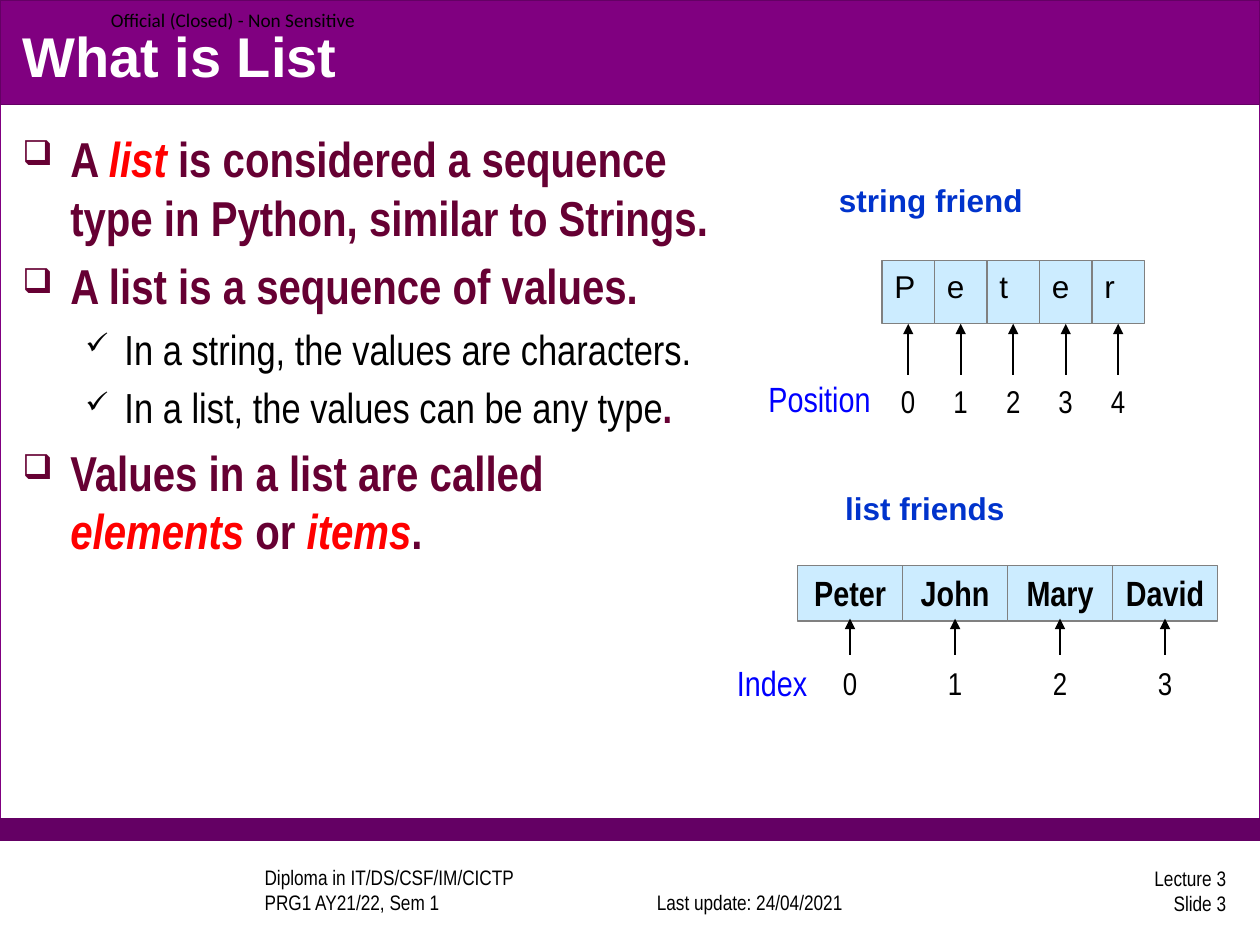
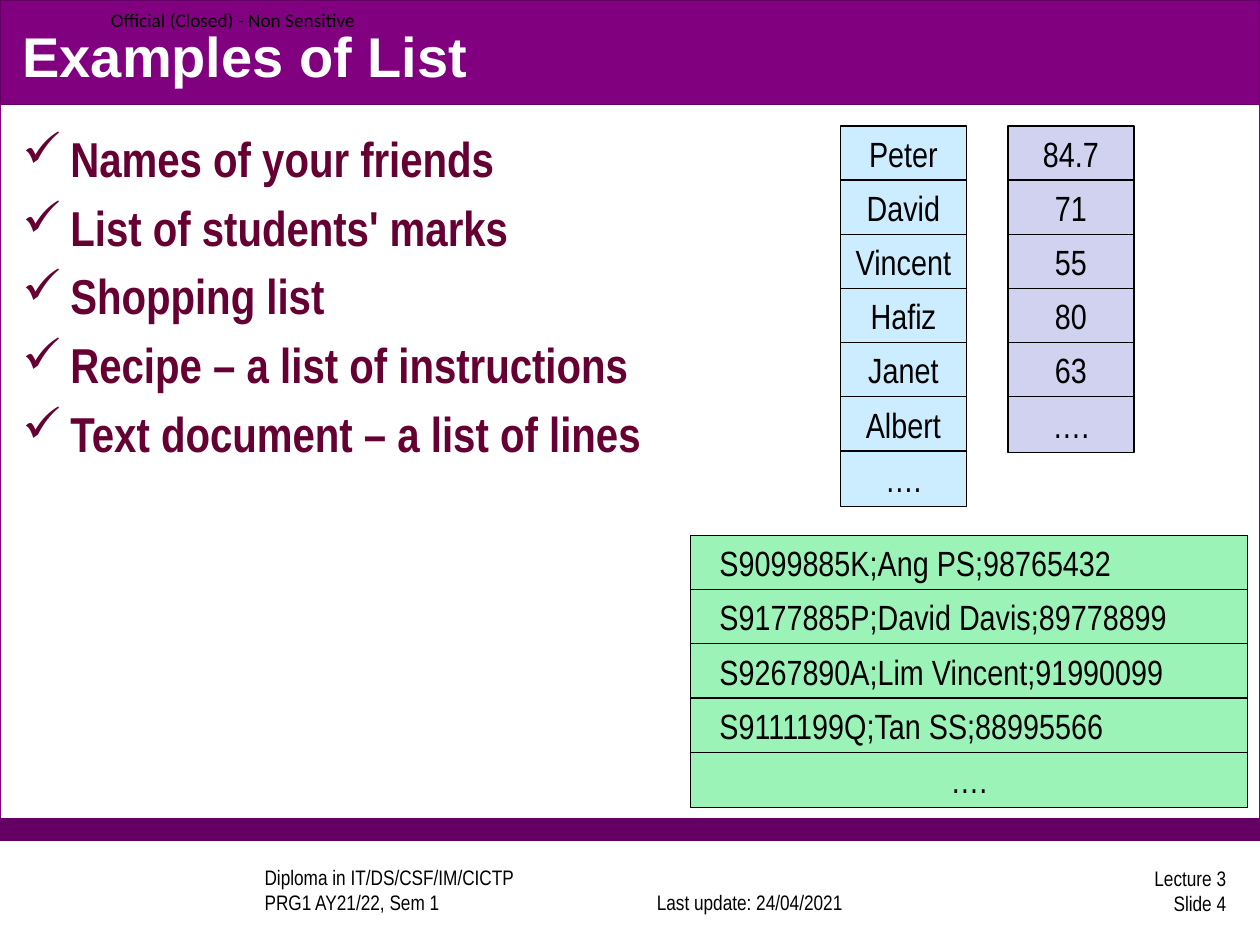
from dataclasses import dataclass

from pptx import Presentation
from pptx.dml.color import RGBColor
from pptx.enum.shapes import MSO_CONNECTOR as Link, MSO_SHAPE as Form
from pptx.enum.text import MSO_ANCHOR as Anchor, PP_ALIGN as Align
from pptx.oxml.ns import qn
from pptx.shapes.shapetree import GroupShapes
from pptx.slide import Slide
from pptx.text.text import TextFrame
from pptx.util import Inches, Pt
from lxml.etree import SubElement

BLACK = RGBColor(0, 0, 0)
WHITE = RGBColor(255, 255, 255)
PURPLE = RGBColor(0x80, 0, 0x80)
DARK = RGBColor(0x64, 0, 0x64)
WINE = RGBColor(0x66, 0, 0x33)
RED = RGBColor(0xFF, 0, 0)
BLUE = RGBColor(0, 0, 0xFF)
ROYAL = RGBColor(0, 0x33, 0xCC)
GRAY = RGBColor(0x80, 0x80, 0x80)
SKY = RGBColor(0xCC, 0xEC, 0xFF)
LILAC = RGBColor(0xD1, 0xD1, 0xF0)
MINT = RGBColor(0x9B, 0xF3, 0xB8)
SANS = "Arial"
SLIM = "Arial Narrow"
DOTS = "…."


@dataclass(frozen=True)
class Box:
    left: float
    top: float
    width: float
    height: float

    def emu(self) -> tuple[int, ...]:
        return tuple(Inches(n) for n in (self.left, self.top, self.width, self.height))


@dataclass(frozen=True)
class Style:
    size: int
    color: RGBColor = BLACK
    face: str = SLIM
    bold: bool = False
    slant: bool = False


@dataclass(frozen=True)
class Level:
    mark: str
    left: float
    hang: float
    space: float
    scale: int = 100


@dataclass(frozen=True)
class Item:
    level: Level
    spans: tuple[tuple[str, Style], ...]


@dataclass(frozen=True)
class Row:
    title: str
    spot: Box
    label: str
    tag: Box
    words: tuple[str, ...]
    first: Box
    style: Style
    align: Align
    tip: float
    reach: float
    digits: float


@dataclass(frozen=True)
class Stack:
    first: Box
    fill: RGBColor
    words: tuple[str, ...]
    align: Align = Align.CENTER
    inset: float = 0.1


TITLE = Style(32, WHITE, SANS, True)
FOOT = Style(12)
STRONG = Style(28, WINE, bold=True)
ACCENT = Style(28, RED, bold=True, slant=True)
PLAIN = Style(24)
STOP = Style(24, WINE, bold=True)
HEAD = Style(18, ROYAL, SANS, True)
LABEL = Style(20, BLUE)
DIGIT = Style(18)
CELL = Style(20)
SQUARE = Level("❑", 0.38, 0.38, 5.6, 70)
CHECK = Level("✓", 0.81, 0.31, 4.8, 70)
TICK = Level("✓", 0.38, 0.38, 5.6)
STEP = 0.43

BANDS = (
    (Box(0, 0, 10, 6.67), WHITE, PURPLE),
    (Box(0, 6.5, 10, 0.17), DARK, DARK),
    (Box(0, 0, 10, 0.83), PURPLE, DARK),
)

FACTS = (
    Item(SQUARE, (
        ("A ", STRONG),
        ("list ", ACCENT),
        ("is considered a sequence type in Python, similar to Strings.", STRONG),
    )),
    Item(SQUARE, (("A list is a sequence of values.", STRONG),)),
    Item(CHECK, (("In a string, the values are characters.", PLAIN),)),
    Item(CHECK, (("In a list, the values can be any type", PLAIN), (".", STOP))),
    Item(SQUARE, (
        ("Values in a list are called ", STRONG),
        ("elements", ACCENT),
        (" or ", STRONG),
        ("items", ACCENT),
        (".", STRONG),
    )),
)

CASES = tuple(Item(TICK, ((text, STRONG),)) for text in (
    "Names of your friends",
    "List of students' marks",
    "Shopping list",
    "Recipe – a list of instructions",
    "Text document – a list of lines",
))

ROWS = (
    Row("list friends", Box(6.61, 3.83, 2.05, 0.5), "Index", Box(5.75, 5.2, 0.83, 0.44),
        ("Peter", "John", "Mary", "David"), Box(6.33, 4.49, 5 / 6, 0.44),
        Style(20, bold=True), Align.CENTER, 4.91, 0.29, 5.22),
    Row("string friend", Box(6.56, 1.39, 2.05, 0.5), "Position", Box(6, 2.95, 1.08, 0.44),
        tuple("Peter"), Box(7, 2.07, 5 / 12, 0.5),
        Style(18, face=SANS), Align.LEFT, 2.57, 0.41, 2.98),
)

STACKS = (
    Stack(Box(6.67, 1, 1, 0.44), SKY,
          ("Peter", "David", "Vincent", "Hafiz", "Janet", "Albert", DOTS)),
    Stack(Box(8, 1, 1, 0.44), LILAC, ("84.7", "71", "55", "80", "63", DOTS)),
    Stack(Box(5.48, 4.25, 4.42, 0.44), MINT,
          ("S9099885K;Ang PS;98765432", "S9177885P;David Davis;89778899",
           "S9267890A;Lim Vincent;91990099", "S9111199Q;Tan SS;88995566", DOTS),
          Align.LEFT, 0.23),
)


def add_run(para, text: str, style: Style) -> None:
    run = para.add_run()
    run.text = text
    font = run.font
    font.size, font.name = Pt(style.size), style.face
    font.bold, font.italic = style.bold, style.slant
    font.color.rgb = style.color


def write(frame: TextFrame, text: str, style: Style, align: Align = Align.LEFT,
          anchor: Anchor = Anchor.TOP, inset: float = 0.1) -> None:
    frame.word_wrap = True
    frame.vertical_anchor = anchor
    frame.margin_left = Inches(inset)
    para = frame.paragraphs[0]
    para.alignment = align
    for i, line in enumerate(text.split("\n")):
        if i:
            para.add_line_break()
        add_run(para, line, style)


def add_text(shapes: GroupShapes, box: Box, text: str, style: Style,
             align: Align = Align.LEFT, anchor: Anchor = Anchor.TOP,
             inset: float = 0.1) -> None:
    frame = shapes.add_textbox(*box.emu()).text_frame
    write(frame, text, style, align, anchor, inset)


def add_rect(shapes: GroupShapes, box: Box, fill: RGBColor, line: RGBColor) -> TextFrame:
    rect = shapes.add_shape(Form.RECTANGLE, *box.emu())
    rect.shadow.inherit = False
    rect.fill.solid()
    rect.fill.fore_color.rgb = fill
    rect.line.color.rgb = line
    rect.line.width = Pt(0.75)
    return rect.text_frame


def add_arrow(shapes: GroupShapes, x: float, top: float, reach: float) -> None:
    link = shapes.add_connector(Link.STRAIGHT, Inches(x), Inches(top),
                                Inches(x), Inches(top + reach))
    link.line.color.rgb = BLACK
    link.line.width = Pt(1)
    props = link._element.spPr
    SubElement(props.find(qn("a:ln")), qn("a:headEnd"), type="triangle")
    SubElement(props, qn("a:effectLst"))


def add_items(slide: Slide, box: Box, items: tuple[Item, ...]) -> None:
    frame = slide.shapes.add_textbox(*box.emu()).text_frame
    frame.word_wrap = True
    for i, item in enumerate(items):
        para = frame.add_paragraph() if i else frame.paragraphs[0]
        level = item.level
        if i:
            para.space_before = Pt(level.space)
        props = para._p.get_or_add_pPr()
        props.set("marL", str(Inches(level.left)))
        props.set("indent", str(-Inches(level.hang)))
        SubElement(props, qn("a:buSzPct"), val=str(level.scale * 1000))
        SubElement(props, qn("a:buChar"), char=level.mark)
        for text, style in item.spans:
            add_run(para, text, style)


def add_row(slide: Slide, row: Row) -> None:
    shapes = slide.shapes.add_group_shape().shapes
    first = row.first
    for i, word in enumerate(row.words):
        left = first.left + i * first.width
        cell = Box(left, first.top, first.width, first.height)
        write(add_rect(shapes, cell, SKY, GRAY), word, row.style, row.align)
        add_text(shapes, Box(left, row.digits, first.width, 0.4), str(i), DIGIT, Align.CENTER)
        add_arrow(shapes, left + first.width / 2, row.tip, row.reach)
    add_text(shapes, row.tag, row.label, LABEL)
    add_text(shapes, row.spot, row.title, HEAD)


def add_stack(slide: Slide, stack: Stack) -> None:
    shapes = slide.shapes.add_group_shape().shapes
    first = stack.first
    for i, word in enumerate(stack.words):
        cell = Box(first.left, first.top + i * STEP, first.width, first.height)
        frame = add_rect(shapes, cell, stack.fill, BLACK)
        if word == DOTS:
            write(frame, word, CELL, Align.CENTER)
        else:
            write(frame, word, CELL, stack.align, inset=stack.inset)


def add_page(deck, title: str, number: int) -> Slide:
    slide = deck.slides.add_slide(deck.slide_layouts[6])
    shapes = slide.shapes
    for box, fill, line in BANDS:
        add_rect(shapes, box, fill, line)
    add_text(shapes, Box(1.5, 6.89, 3.17, 0.42),
             "Diploma in IT/DS/CSF/IM/CICTP\nPRG1 AY21/22, Sem 1",
             FOOT, anchor=Anchor.BOTTOM, inset=0.6)
    add_text(shapes, Box(4.91, 6.89, 2.08, 0.42), "Last update: 24/04/2021",
             FOOT, Align.CENTER, Anchor.BOTTOM)
    add_text(shapes, Box(7.75, 6.86, 2.08, 0.42), f"Lecture 3\nSlide {number}",
             FOOT, Align.RIGHT, Anchor.MIDDLE)
    add_text(shapes, Box(0.88, 0, 2.13, 0.31), "Official (Closed) - Non Sensitive",
             Style(11, face="Calibri"), anchor=Anchor.MIDDLE, inset=0)
    add_text(shapes, Box(0.08, 0.13, 9.83, 0.62), title, TITLE, anchor=Anchor.MIDDLE)
    return slide


def main() -> None:
    deck = Presentation()
    deck.slide_width, deck.slide_height = Inches(10), Inches(7.5)
    intro = add_page(deck, "What is List", 3)
    add_items(intro, Box(0.08, 0.97, 5.7, 5.45), FACTS)
    for row in ROWS:
        add_row(intro, row)
    cases = add_page(deck, "Examples of List", 4)
    add_items(cases, Box(0.08, 0.97, 6.08, 5.45), CASES)
    for stack in STACKS:
        add_stack(cases, stack)
    deck.save("out.pptx")


if __name__ == "__main__":
    main()
